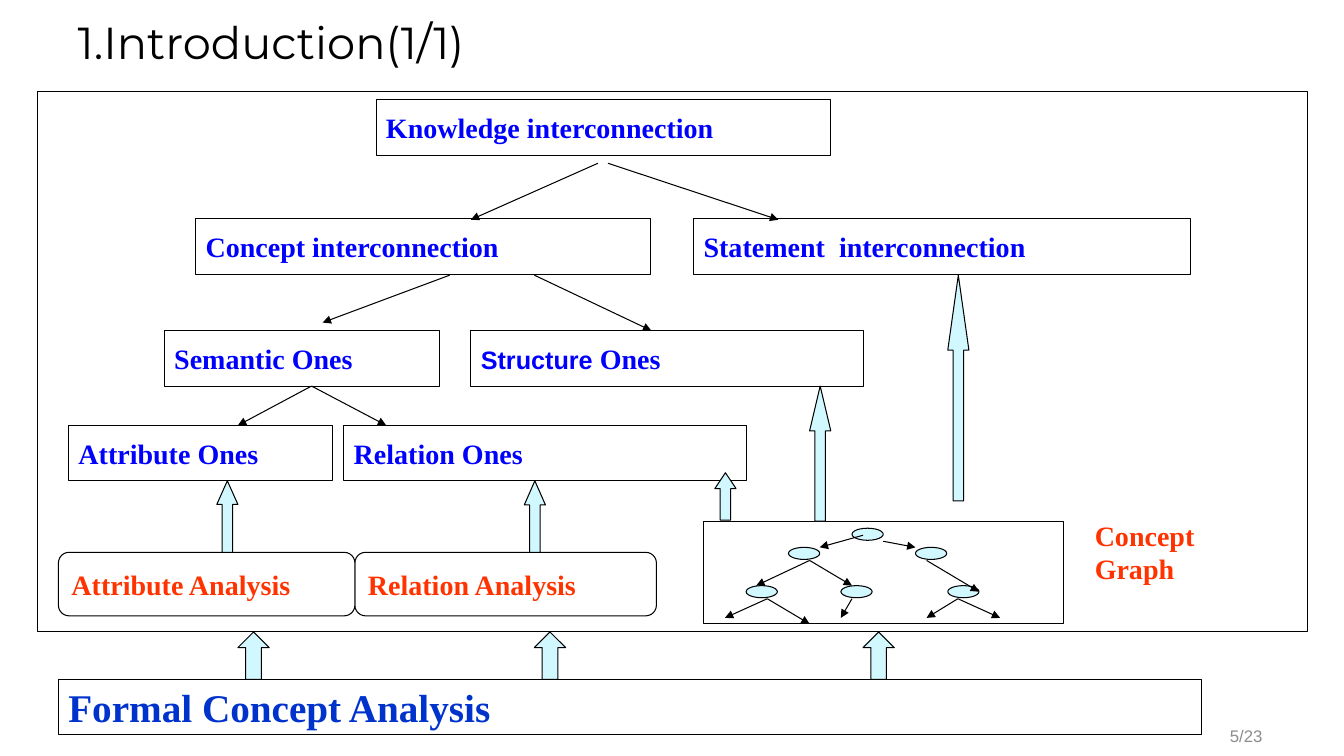
from dataclasses import dataclass

from lxml.etree import SubElement
from pptx import Presentation
from pptx.dml.color import RGBColor
from pptx.enum.shapes import MSO_CONNECTOR, MSO_SHAPE
from pptx.enum.text import MSO_ANCHOR, MSO_AUTO_SIZE, PP_ALIGN
from pptx.oxml.ns import qn
from pptx.util import Pt

EMU_PER_PX = 9144


@dataclass(frozen=True)
class Theme:
    black: str = "000000"
    white: str = "FFFFFF"
    blue: str = "0000FF"
    navy: str = "0033CC"
    red: str = "FF3300"
    cyan: str = "D1F7FF"
    gray: str = "8C8C8C"
    title_font: str = "Montserrat"
    serif: str = "Times New Roman"
    sans: str = "Arial"
    title_size: int = 32
    banner_size: int = 28
    label_size: int = 20
    sans_label_size: int = 18
    number_size: int = 12
    line_width: float = 0.75


def px(value):
    return round(value * EMU_PER_PX)


class SlideBuilder:
    """Draws styled elements on one slide, measured in px."""

    def __init__(self, slide, theme):
        self.slide = slide
        self.theme = theme

    def add_run(self, paragraph, text, size, color, font, bold=True):
        run = paragraph.add_run()
        run.text = text
        run.font.size = Pt(size)
        run.font.name = font
        run.font.bold = bold
        run.font.color.rgb = RGBColor.from_string(color)

    def style_line(self, line):
        line.color.rgb = RGBColor.from_string(self.theme.black)
        line.width = Pt(self.theme.line_width)

    def title(self, text, left, top, width, height):
        shape = self.slide.shapes.title
        shape.left, shape.top = px(left), px(top)
        shape.width, shape.height = px(width), px(height)
        frame = shape.text_frame
        frame.auto_size = MSO_AUTO_SIZE.NONE
        frame.vertical_anchor = MSO_ANCHOR.MIDDLE
        paragraph = frame.paragraphs[0]
        paragraph.alignment = PP_ALIGN.LEFT
        paragraph.line_spacing = 0.9
        self.add_run(paragraph, text, self.theme.title_size, self.theme.black,
                     self.theme.title_font, bold=False)

    def shape(self, kind, left, top, width, height, fill):
        shape = self.slide.shapes.add_shape(kind, px(left), px(top), px(width), px(height))
        shape.shadow.inherit = False
        shape.fill.solid()
        shape.fill.fore_color.rgb = RGBColor.from_string(fill)
        self.style_line(shape.line)
        return shape

    def box(self, left, top, width, height, runs=(), kind=MSO_SHAPE.RECTANGLE):
        shape = self.shape(kind, left, top, width, height, self.theme.white)
        frame = shape.text_frame
        frame.word_wrap = True
        frame.vertical_anchor = MSO_ANCHOR.MIDDLE
        paragraph = frame.paragraphs[0]
        paragraph.alignment = PP_ALIGN.LEFT
        for run in runs:
            self.add_run(paragraph, *run)

    def text(self, lines, left, top, width, height, style, alignment=PP_ALIGN.LEFT,
             anchor=MSO_ANCHOR.TOP, bold=True):
        frame = self.slide.shapes.add_textbox(px(left), px(top), px(width), px(height)).text_frame
        frame.word_wrap = True
        frame.vertical_anchor = anchor
        for index, line in enumerate(lines):
            paragraph = frame.add_paragraph() if index else frame.paragraphs[0]
            paragraph.alignment = alignment
            self.add_run(paragraph, line, *style, bold=bold)

    def arrow(self, start_x, start_y, end_x, end_y):
        connector = self.slide.shapes.add_connector(
            MSO_CONNECTOR.STRAIGHT, px(start_x), px(start_y), px(end_x), px(end_y))
        self.style_line(connector.line)
        SubElement(connector.line._get_or_add_ln(), qn("a:tailEnd"), type="triangle")
        SubElement(connector._element.spPr, qn("a:effectLst"))

    def block_arrow(self, left, top, width, height, head_ratio):
        shape = self.shape(MSO_SHAPE.UP_ARROW, left, top, width, height, self.theme.cyan)
        shape.adjustments[0] = 0.5
        shape.adjustments[1] = head_ratio

    def node(self, left, top):
        self.shape(MSO_SHAPE.OVAL, left, top, 31, 12, self.theme.cyan)


def main():
    presentation = Presentation()
    presentation.slide_width, presentation.slide_height = px(1333), px(750)
    slide = presentation.slides.add_slide(presentation.slide_layouts[5])
    theme = Theme()
    builder = SlideBuilder(slide, theme)

    builder.title("1.Introduction(1/1)", 67, 13, 1062, 63)
    builder.text(["5/23"], 962, 710, 300, 40, (theme.number_size, theme.gray, theme.sans),
                 PP_ALIGN.RIGHT, MSO_ANCHOR.MIDDLE, bold=False)
    builder.box(58, 674, 1134, 55,
                [("Formal Concept Analysis", theme.banner_size, theme.navy, theme.serif)])
    builder.box(37, 91, 1260, 536)

    label_style = (theme.label_size, theme.blue, theme.serif)
    interconnections = [
        ("Knowledge interconnection", 373, 99, 451),
        ("Statement  interconnection", 688, 217, 493),
        ("Concept interconnection", 194, 217, 451),
        ("Semantic Ones", 163, 328, 273),
        ("Attribute Ones", 68, 422, 262),
        ("Relation Ones", 341, 422, 399),
    ]
    for label, left, top, width in interconnections:
        builder.box(left, top, width, 55, [(label, *label_style)])
    builder.box(467, 328, 389, 55, [
        ("Structure ", theme.sans_label_size, theme.blue, theme.sans),
        ("Ones", *label_style),
    ])

    analysis_style = (theme.label_size, theme.red, theme.serif)
    for label, left, width in [("Relation Analysis", 352, 299), ("Attribute Analysis", 58, 294)]:
        builder.box(left, 548, width, 63, [(label, *analysis_style)],
                    MSO_SHAPE.ROUNDED_RECTANGLE)

    builder.box(698, 517, 357, 102)
    builder.text(["Concept", "Graph"], 1076, 509, 200, 77, analysis_style)

    hierarchy_arrows = [
        (593, 162, 467, 218), (603, 162, 772, 218),
        (446, 273, 320, 320), (530, 273, 646, 328),
        (309, 383, 236, 422), (309, 383, 383, 422),
    ]
    graph_nodes = [(845, 524), (782, 543), (908, 543), (740, 581), (834, 581), (940, 581)]
    graph_arrows = [
        (856, 531, 813, 543), (876, 537, 908, 543),
        (803, 556, 750, 581), (803, 556, 845, 581), (919, 556, 971, 587),
        (761, 594, 719, 613), (761, 594, 803, 619), (845, 594, 834, 613),
        (950, 594, 919, 613), (950, 594, 992, 613),
    ]
    for left, top in graph_nodes:
        builder.node(left, top)
    for ends in hierarchy_arrows + graph_arrows:
        builder.arrow(*ends)

    support_arrows = [
        (215, 477, 71, 1.12), (520, 477, 71, 1.14), (709, 469, 47, 0.75),
        (803, 383, 134, 2.12), (940, 273, 224, 3.55),
    ]
    for left, top, height, head_ratio in support_arrows:
        builder.block_arrow(left, top, 21, height, head_ratio)
    for left in (236, 530, 856):
        builder.block_arrow(left, 627, 31, 47, 0.5)

    presentation.save("out.pptx")


if __name__ == "__main__":
    main()
